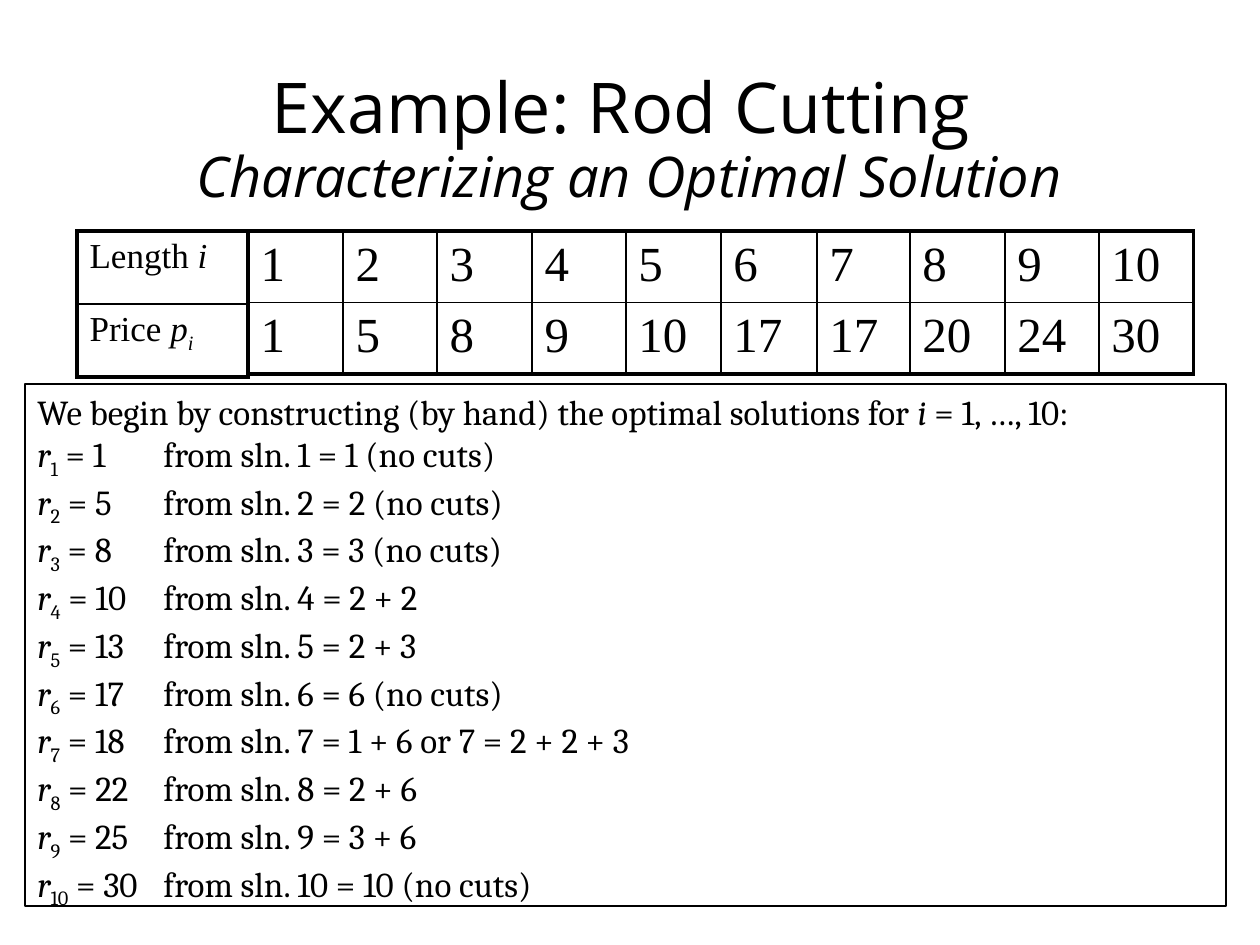
from dataclasses import dataclass

from lxml import etree
from pptx import Presentation
from pptx import util as u
from pptx.dml.color import RGBColor
from pptx.enum import shapes, text
from pptx.oxml.ns import qn

EMU_PER_PX = 914400 / 126
BLACK = "000000"
THICK, THIN = 2.25, 1


@dataclass
class Run:
    text: str
    italic: bool = False
    sub: bool = False


@dataclass
class Grid:
    x: int
    y: int
    cols: list[int]
    row_h: int
    size: int
    rows: list[list[list[Run]]]


def px(n: int) -> u.Emu:
    return u.Emu(round(n * EMU_PER_PX))


def rgb(value: str) -> RGBColor:
    return RGBColor.from_string(value)


def add_runs(p, runs: list[Run], font: str, size: int) -> None:
    for run in runs:
        r = p.add_run()
        r.text = run.text
        r.font.name, r.font.size = font, u.Pt(size)
        r.font.italic = run.italic
        r.font.color.rgb = rgb(BLACK)
        if run.sub:
            r.font._element.set("baseline", "-25000")


def add_border(cell, side: str, width: float) -> None:
    ln = etree.SubElement(cell._tc.get_or_add_tcPr(), qn(f"a:ln{side}"),
                          w=str(u.Pt(width)))
    fill = etree.SubElement(ln, qn("a:solidFill"))
    etree.SubElement(fill, qn("a:srgbClr"), val=BLACK)


def space_before(p, percent: int) -> None:
    spc = etree.SubElement(p._p.get_or_add_pPr(), qn("a:spcBef"))
    etree.SubElement(spc, qn("a:spcPct"), val=str(percent * 1000))


def draw_grid(s, g: Grid) -> None:
    n_rows, n_cols = len(g.rows), len(g.cols)
    tbl = s.shapes.add_table(n_rows, n_cols, px(g.x), px(g.y),
                             px(sum(g.cols)), px(g.row_h * n_rows)).table
    tbl.first_row = tbl.horz_banding = False
    for col, width in zip(tbl.columns, g.cols):
        col.width = px(width)
    for i, row in enumerate(g.rows):
        tbl.rows[i].height = px(g.row_h)
        for j, runs in enumerate(row):
            cell = tbl.cell(i, j)
            # Heavy outline, light inner rules
            outer = {"L": j == 0, "R": j == n_cols - 1,
                     "T": i == 0, "B": i == n_rows - 1}
            for side, is_outer in outer.items():
                add_border(cell, side, THICK if is_outer else THIN)
            cell.fill.background()
            p = cell.text_frame.paragraphs[0]
            space_before(p, 20)
            add_runs(p, runs, "Times New Roman", g.size)


def draw_title(s) -> None:
    sp = s.shapes.title
    sp.left, sp.top, sp.width, sp.height = px(87), px(50), px(1086), px(183)
    tf = sp.text_frame
    tf.vertical_anchor = text.MSO_ANCHOR.MIDDLE
    p = tf.paragraphs[0]
    p.alignment, p.line_spacing = text.PP_ALIGN.CENTER, 0.9
    add_runs(p, [Run("Example: Rod Cutting ")], "Open Sans", 40)
    p.add_line_break()
    add_runs(p, [Run("Characterizing an Optimal Solution", italic=True)],
             "Open Sans", 32)


def draw_solutions(s, lines: list[list[Run]]) -> None:
    sp = s.shapes.add_shape(shapes.MSO_SHAPE.RECTANGLE,
                            px(25), px(384), px(1201), px(522))
    sp.shadow.inherit = False
    sp.fill.background()
    sp.line.color.rgb, sp.line.width = rgb(BLACK), u.Pt(0.75)
    tf = sp.text_frame
    tf.word_wrap = True
    tf.auto_size = text.MSO_AUTO_SIZE.SHAPE_TO_FIT_TEXT
    tf.vertical_anchor = text.MSO_ANCHOR.TOP
    for i, runs in enumerate(lines):
        p = tf.add_paragraph() if i else tf.paragraphs[0]
        p.alignment = text.PP_ALIGN.LEFT
        add_runs(p, runs, "Cambria", 20)


PRICES = [1, 5, 8, 9, 10, 17, 17, 20, 24, 30]
SOLUTIONS = [
    (1, "1 = 1 (no cuts)"),
    (5, "2 = 2 (no cuts)"),
    (8, "3 = 3 (no cuts)"),
    (10, "4 = 2 + 2"),
    (13, "5 = 2 + 3"),
    (17, "6 = 6 (no cuts)"),
    (18, "7 = 1 + 6 or 7 = 2 + 2 + 3"),
    (22, "8 = 2 + 6"),
    (25, "9 = 3 + 6"),
    (30, "10 = 10 (no cuts)"),
]


def main() -> None:
    prs = Presentation()
    prs.slide_width, prs.slide_height = u.Inches(10), u.Inches(7.5)
    s = prs.slides.add_slide(prs.slide_layouts[5])
    draw_title(s)

    # Optimal revenue for each length
    lines = [[Run("We begin by constructing (by hand) the optimal solutions for "),
              Run("i", italic=True), Run(" = 1, …, 10:")]]
    for i, (revenue, cuts) in enumerate(SOLUTIONS, 1):
        lines.append([Run("r", italic=True), Run(str(i), sub=True),
                      Run(f" = {revenue} \tfrom sln. {cuts}")])
    draw_solutions(s, lines)

    # Row headings, then lengths and prices
    headings = [[[Run("Length "), Run("i", italic=True)]],
                [[Run("Price "), Run("p", italic=True),
                  Run("i", italic=True, sub=True)]]]
    draw_grid(s, Grid(77, 231, [171], 73, 20, headings))
    values = [[[Run(str(v))] for v in row] for row in (range(1, 11), PRICES)]
    draw_grid(s, Grid(248, 231, [95, 94, 95, 94, 95, 96, 93, 95, 94, 95],
                      71, 28, values))
    prs.save("out.pptx")


if __name__ == "__main__":
    main()
